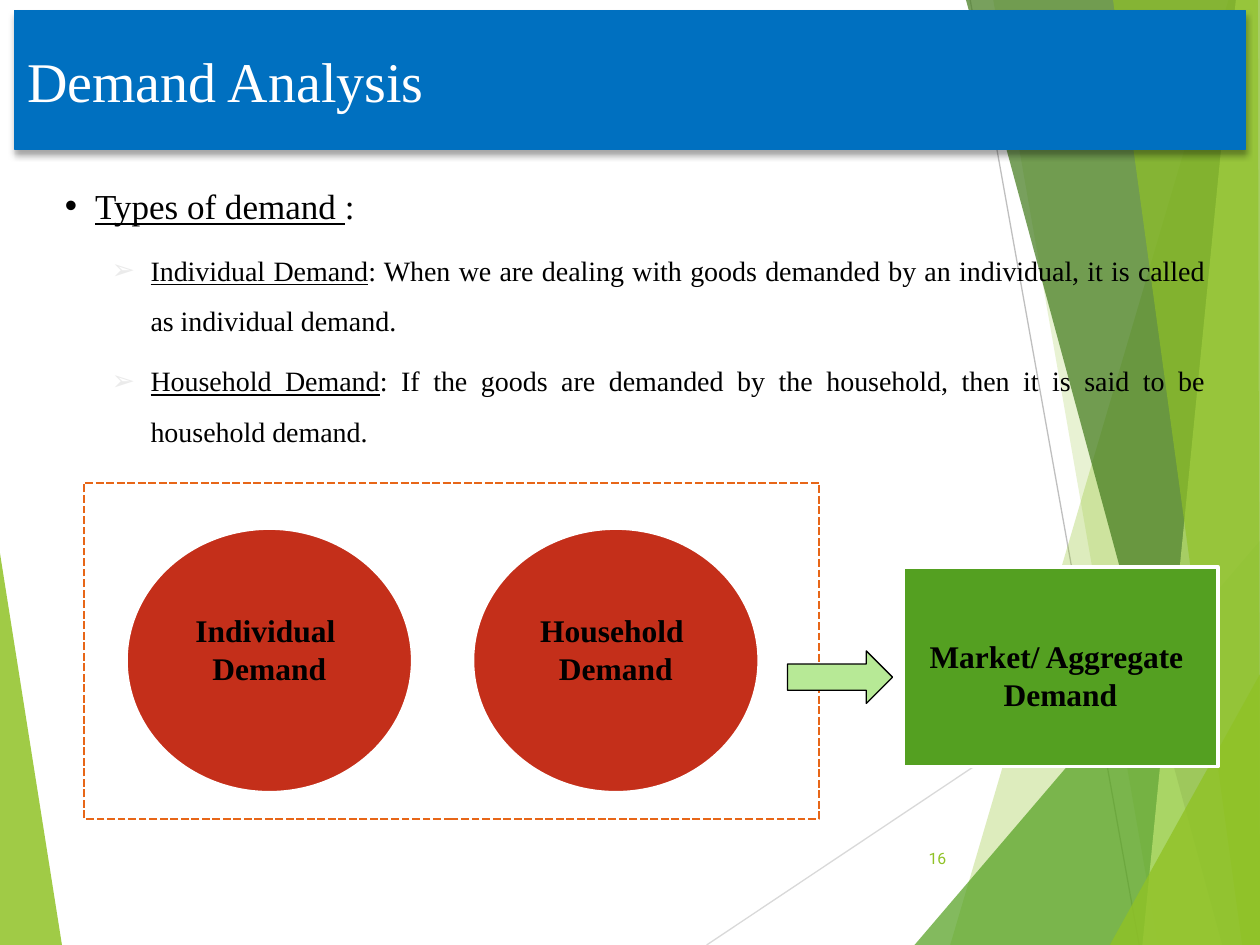
from lxml.etree import SubElement
from pptx import Presentation
from pptx.dml.color import RGBColor
from pptx.enum.dml import MSO_LINE
from pptx.enum.shapes import MSO_CONNECTOR, MSO_SHAPE
from pptx.enum.text import MSO_ANCHOR, PP_ALIGN
from pptx.oxml.ns import qn
from pptx.util import Inches, Pt


class Theme:
    serif, sans = "Times New Roman", "Roboto"
    white, black = "FFFFFF", "000000"
    blue, red, orange = "0070C0", "C42F1A", "E76618"
    lime, green, forest = "90C226", "54A021", "3F7819"
    pale_lime, pale_green = "C0E474", "B7E996"
    light_gray, gray, bullet_gray = "D9D9D9", "BFBFBF", "EBEBEB"
    title, heading, label, body, number = 32, 20, 18, 16, 9


# Content; all places are in cells of a 120 x 90 grid
COLUMNS, ROWS = 120, 90
CELL = Inches(10) / COLUMNS
TITLE = "Demand Analysis"
PAGE_NUMBER = "16"
# underlined term, rest, level
POINTS = [
    ("Types of demand ", ":", 0),
    ("Individual Demand", ": When we are dealing with goods demanded by an individual, "
     "it is called as individual demand.", 1),
    ("Household Demand", ": If the goods are demanded by the household, "
     "then it is said to be household demand.", 1),
]
# size, line spacing, space before, left indent, hanging, bullet, bullet colour
LEVELS = [
    (Theme.heading, 2, 7, 0.24, 0.24, "•", Theme.black),
    (Theme.body, 1.5, 5.6, 0.68, 0.31, "➢", Theme.bullet_gray),
]
# shape, place, fill, top inset in inches, lines
DEMANDS = [
    (MSO_SHAPE.OVAL, (12, 50.3, 27.3, 25.2), Theme.red, 0.35, ["Individual ", "Demand"]),
    (MSO_SHAPE.OVAL, (45, 50.3, 27.3, 25.2), Theme.red, 0.35, ["Household ", "Demand"]),
    (MSO_SHAPE.RECTANGLE, (86, 54, 30, 19), Theme.green, 0.56, ["Market/ Aggregate ", "Demand"]),
]
# corners, colour, opacity in percent
LEFT_FACET = ([(0, 52.7), (5.9, 90), (0, 90)], Theme.lime, 85)
RIGHT_FACETS = [
    ([(117, 0), (90.5, 90), (120, 90), (120, 0)], Theme.lime, 30),
    ([(94.6, 0), (110.3, 90), (120, 90), (120, 0)], Theme.lime, 20),
    ([(87.1, 90), (120, 51.5), (120, 90)], Theme.green, 72),
    ([(92, 0), (116.4, 90), (120, 90), (120, 0)], Theme.forest, 70),
    ([(117.7, 0), (108.8, 90), (120, 90), (120, 0)], Theme.pale_lime, 70),
    ([(106, 0), (118.3, 90), (120, 90), (119.8, 0)], Theme.lime, 65),
    ([(105.7, 90), (120, 64.2), (120, 90)], Theme.lime, 80),
]
RAYS = [((67.3, 90), (120, 54.8), Theme.light_gray), ((92.4, 0), (108.5, 90), Theme.gray)]

presentation = Presentation()
presentation.slide_width = round(COLUMNS * CELL)
presentation.slide_height = round(ROWS * CELL)
slide = presentation.slides.add_slide(presentation.slide_layouts[6])
shapes = slide.shapes


def cells(*values):
    return [round(value * CELL) for value in values]


def color(code):
    return RGBColor.from_string(code)


def style_run(run, size, code, font=Theme.serif, bold=False):
    run.font.name, run.font.size, run.font.bold = font, Pt(size), bold
    run.font.color.rgb = color(code)


def add_facet(corners, code, opacity):
    points = [cells(*corner) for corner in corners]
    builder = shapes.build_freeform(*points[0])
    builder.add_line_segments(points[1:], close=True)
    facet = builder.convert_to_shape()
    facet.shadow.inherit = False
    facet.line.fill.background()
    facet.fill.solid()
    facet.fill.fore_color.rgb = color(code)
    fill_color = facet.fill._xPr.find(qn("a:solidFill"))[0]
    SubElement(fill_color, qn("a:alpha"), val=str(opacity * 1000))


def add_ray(start, end, code):
    ray = shapes.add_connector(MSO_CONNECTOR.STRAIGHT, *cells(*start, *end))
    ray.line.color.rgb = color(code)
    ray.line.width = Pt(0.75)
    SubElement(ray._element.spPr, qn("a:effectLst"))


def add_panel(kind, place, fill, line, width):
    panel = shapes.add_shape(kind, *cells(*place))
    panel.shadow.inherit = False
    panel.fill.solid()
    panel.fill.fore_color.rgb = color(fill)
    panel.line.color.rgb = color(line)
    panel.line.width = Pt(width)
    return panel


def add_bullet(paragraph, left, hanging, character, code):
    properties = paragraph._p.get_or_add_pPr()
    properties.set("marL", str(Inches(left)))
    properties.set("indent", str(-Inches(hanging)))
    bullet_color = SubElement(properties, qn("a:buClr"))
    SubElement(bullet_color, qn("a:srgbClr"), val=code)
    SubElement(properties, qn("a:buFont"), typeface="Arial")
    SubElement(properties, qn("a:buChar"), char=character)


# Background facets
add_facet(*LEFT_FACET)
for ray in RAYS:
    add_ray(*ray)
for facet in RIGHT_FACETS:
    add_facet(*facet)

# Dashed group frame
frame = add_panel(MSO_SHAPE.RECTANGLE, (8, 46, 70, 32), Theme.white, Theme.orange, 1.5)
frame.line.dash_style = MSO_LINE.SQUARE_DOT

# Slide number
number = shapes.add_textbox(*cells(84.6, 79.3, 6.7, 4.8)).text_frame
number.word_wrap = True
number.vertical_anchor = MSO_ANCHOR.MIDDLE
number.text = PAGE_NUMBER
number.paragraphs[0].alignment = PP_ALIGN.RIGHT
style_run(number.paragraphs[0].runs[0], Theme.number, Theme.lime, Theme.sans)

# Bulleted text
body = shapes.add_textbox(*cells(5, 13, 111, 69)).text_frame
body.word_wrap = True
body.text = "\n".join(term for term, _, _ in POINTS)
for paragraph, (_, rest, level) in zip(body.paragraphs, POINTS):
    size, spacing, before, *bullet = LEVELS[level]
    paragraph.level = level
    paragraph.alignment = PP_ALIGN.JUSTIFY
    paragraph.line_spacing, paragraph.space_before = spacing, Pt(before)
    add_bullet(paragraph, *bullet)
    paragraph.add_run().text = rest
    for run in paragraph.runs:
        style_run(run, size, Theme.black)
    paragraph.runs[0].font.underline = True

# Demand diagram
for kind, place, fill, inset, lines in DEMANDS:
    text_frame = add_panel(kind, place, fill, Theme.white, 2).text_frame
    text_frame.word_wrap = False
    text_frame.vertical_anchor = MSO_ANCHOR.TOP
    text_frame.margin_top = Inches(inset)
    text_frame.text = "\n".join(lines)
    for paragraph in text_frame.paragraphs:
        paragraph.alignment = PP_ALIGN.CENTER
        style_run(paragraph.runs[0], Theme.label, Theme.black, bold=True)
add_panel(MSO_SHAPE.RIGHT_ARROW, (75, 62, 10, 5), Theme.pale_green, Theme.black, 0.75)

# Title bar with a soft shadow below
bar = add_panel(MSO_SHAPE.RECTANGLE, (1.4, 1, 117.2, 13.2), Theme.blue, Theme.blue, 0.75)
effects = bar._element.spPr.find(qn("a:effectLst"))
shadow = SubElement(effects, qn("a:outerShdw"), blurRad=str(Pt(4)), dist=str(Pt(3)),
                    dir="5400000", rotWithShape="0")
shadow_color = SubElement(shadow, qn("a:srgbClr"), val=Theme.black)
SubElement(shadow_color, qn("a:alpha"), val="35000")
bar.text_frame.text = TITLE
bar.text_frame.vertical_anchor = MSO_ANCHOR.MIDDLE
bar.text_frame.paragraphs[0].alignment = PP_ALIGN.LEFT
style_run(bar.text_frame.paragraphs[0].runs[0], Theme.title, Theme.white)

presentation.save("out.pptx")
